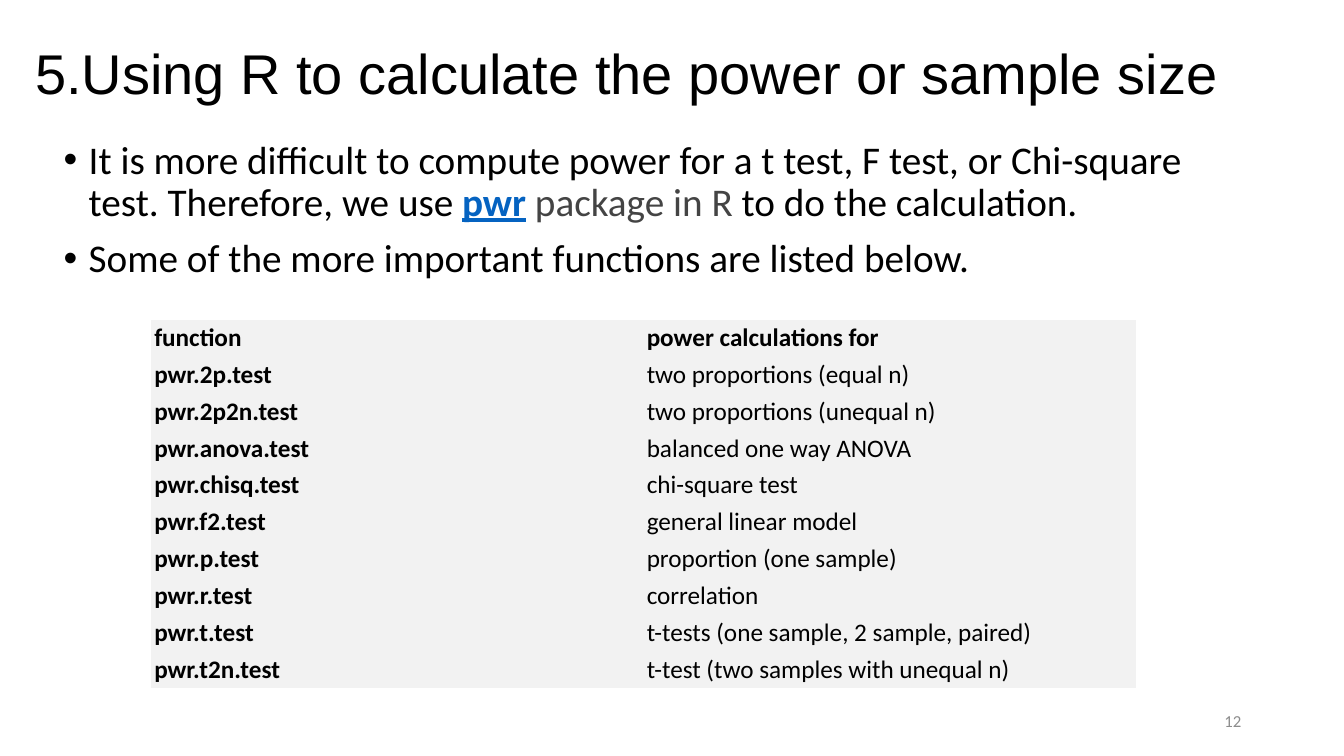
from pptx import Presentation
from pptx.dml.color import RGBColor
from pptx.enum import text
from pptx.oxml.ns import qn
from pptx.util import Inches, Pt

COLORS = {"text": "000000", "link": "0563C1", "muted": "444444",
          "number": "8C8C8C", "cell": "F2F2F2"}
TITLE = "5.Using R to calculate the power or sample size"
BULLETS = [
    [("It is more difficult to compute power for a t test, F test, or "
      "Chi-square test. Therefore, we use ", "text"),
     ("pwr", "link"),
     (" package in R ", "muted"),
     ("to do the calculation.", "text")],
    [("Some of the more important functions are listed below.", "text")],
]
FUNCTIONS = [
    ("function", "power calculations for"),
    ("pwr.2p.test", "two proportions (equal n)"),
    ("pwr.2p2n.test", "two proportions (unequal n)"),
    ("pwr.anova.test", "balanced one way ANOVA"),
    ("pwr.chisq.test", "chi-square test"),
    ("pwr.f2.test", "general linear model"),
    ("pwr.p.test", "proportion (one sample)"),
    ("pwr.r.test", "correlation"),
    ("pwr.t.test", "t-tests (one sample, 2 sample, paired)"),
    ("pwr.t2n.test", "t-test (two samples with unequal n)"),
]
PAGE_NUMBER = "12"
ROW_HEIGHT = 0.36
CELL_MARGIN = Inches(0.03)


def place(shape, left, top, width, height):
    shape.left, shape.top = Inches(left), Inches(top)
    shape.width, shape.height = Inches(width), Inches(height)


def style(run, size, color="text", bold=False, font="Calibri"):
    run.font.name = font
    run.font.size = Pt(size)
    run.font.bold = bold
    run.font.color.rgb = RGBColor.from_string(COLORS[color])


def add_title(slide):
    title = slide.shapes.title
    place(title, 0.25, 0.25, 12.92, 1.02)
    frame = title.text_frame
    frame.text = TITLE
    frame.auto_size = text.MSO_AUTO_SIZE.NONE
    frame.vertical_anchor = text.MSO_ANCHOR.MIDDLE
    paragraph = frame.paragraphs[0]
    paragraph.alignment = text.PP_ALIGN.LEFT
    paragraph.line_spacing = 0.9
    style(paragraph.runs[0], 40, font="Arial")


def add_bullets(slide):
    body = slide.placeholders[1]
    place(body, 0.53, 1.34, 11.5, 1.41)
    frame = body.text_frame
    frame.auto_size = text.MSO_AUTO_SIZE.NONE
    for index, parts in enumerate(BULLETS):
        paragraph = frame.add_paragraph() if index else frame.paragraphs[0]
        paragraph.line_spacing = 0.9
        paragraph.space_before = Pt(10)
        properties = paragraph._p.get_or_add_pPr()
        properties.set("marL", str(Inches(0.25)))
        properties.set("indent", str(-Inches(0.25)))
        bullet = properties.makeelement(qn("a:buChar"), {"char": "•"})
        properties.append(bullet)
        for words, color in parts:
            run = paragraph.add_run()
            run.text = words
            style(run, 28, color, bold=color == "link")
            run.font.underline = color == "link"


def add_function_table(slide):
    frame = slide.shapes.add_table(
        len(FUNCTIONS), 2, Inches(1.5), Inches(3.17),
        Inches(9.77), Inches(ROW_HEIGHT * len(FUNCTIONS)))
    table = frame.table
    table.horz_banding = False
    table.first_row = False
    for row, entries in enumerate(FUNCTIONS):
        for column, words in enumerate(entries):
            cell = table.cell(row, column)
            cell.text = words
            cell.margin_left = cell.margin_right = CELL_MARGIN
            cell.margin_top = cell.margin_bottom = CELL_MARGIN
            cell.fill.solid()
            cell.fill.fore_color.rgb = RGBColor.from_string(COLORS["cell"])
            style(cell.text_frame.paragraphs[0].runs[0], 18,
                  bold=row == 0 or column == 0)
            # Hide the grid lines of the default table style
            properties = cell._tc.get_or_add_tcPr()
            for position, side in enumerate(("lnL", "lnR", "lnT", "lnB")):
                border = properties.makeelement(qn("a:" + side), {"w": "0"})
                border.append(border.makeelement(qn("a:noFill"), {}))
                properties.insert(position, border)


def add_page_number(slide):
    box = slide.shapes.add_textbox(
        Inches(9.41), Inches(6.95), Inches(3), Inches(0.4))
    frame = box.text_frame
    frame.word_wrap = True
    frame.vertical_anchor = text.MSO_ANCHOR.MIDDLE
    frame.text = PAGE_NUMBER
    paragraph = frame.paragraphs[0]
    paragraph.alignment = text.PP_ALIGN.RIGHT
    style(paragraph.runs[0], 12, "number")


def main():
    presentation = Presentation()
    presentation.slide_width = Inches(13.33)
    presentation.slide_height = Inches(7.5)
    slide = presentation.slides.add_slide(presentation.slide_layouts[1])
    add_title(slide)
    add_bullets(slide)
    add_function_table(slide)
    add_page_number(slide)
    presentation.save("out.pptx")


if __name__ == "__main__":
    main()
